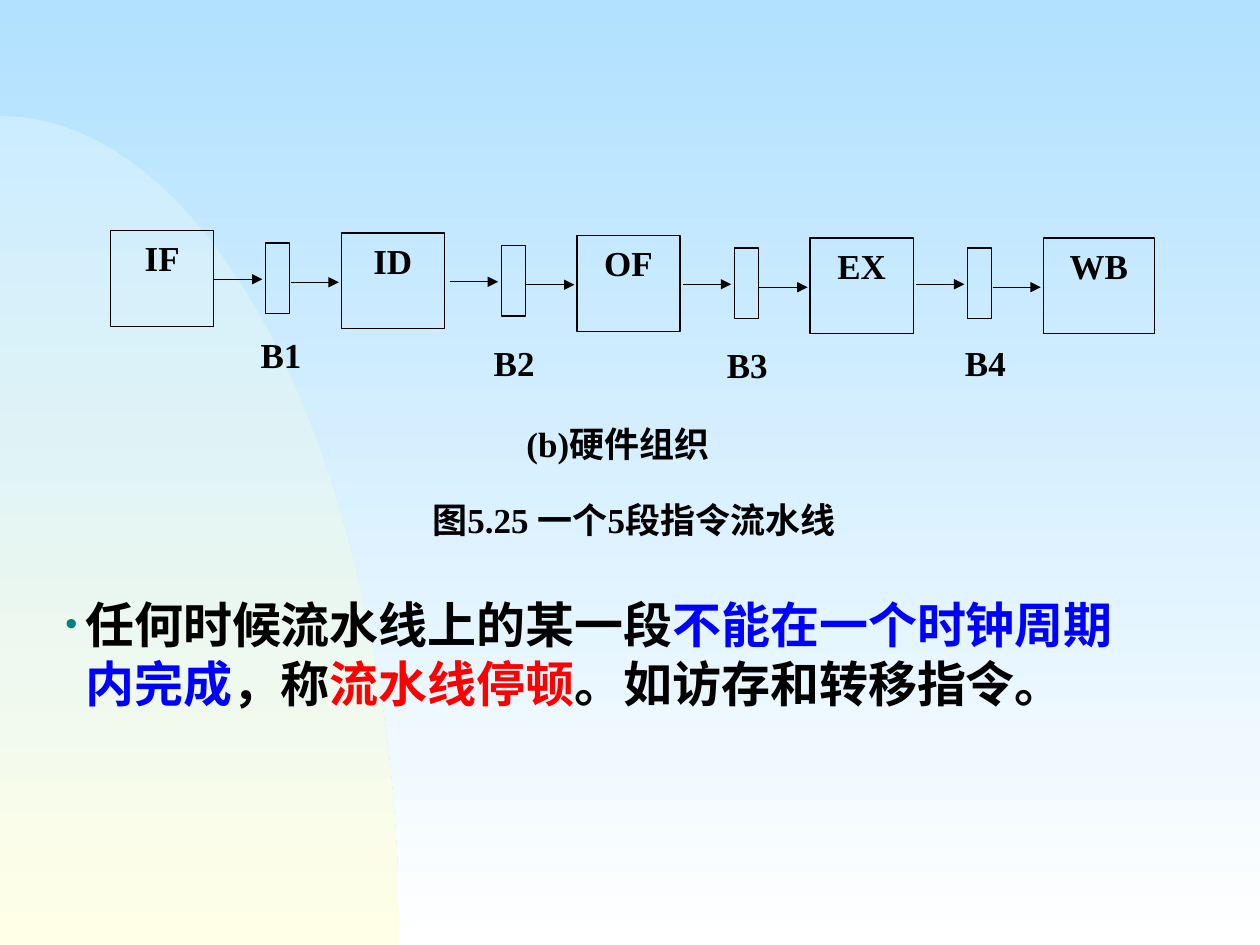
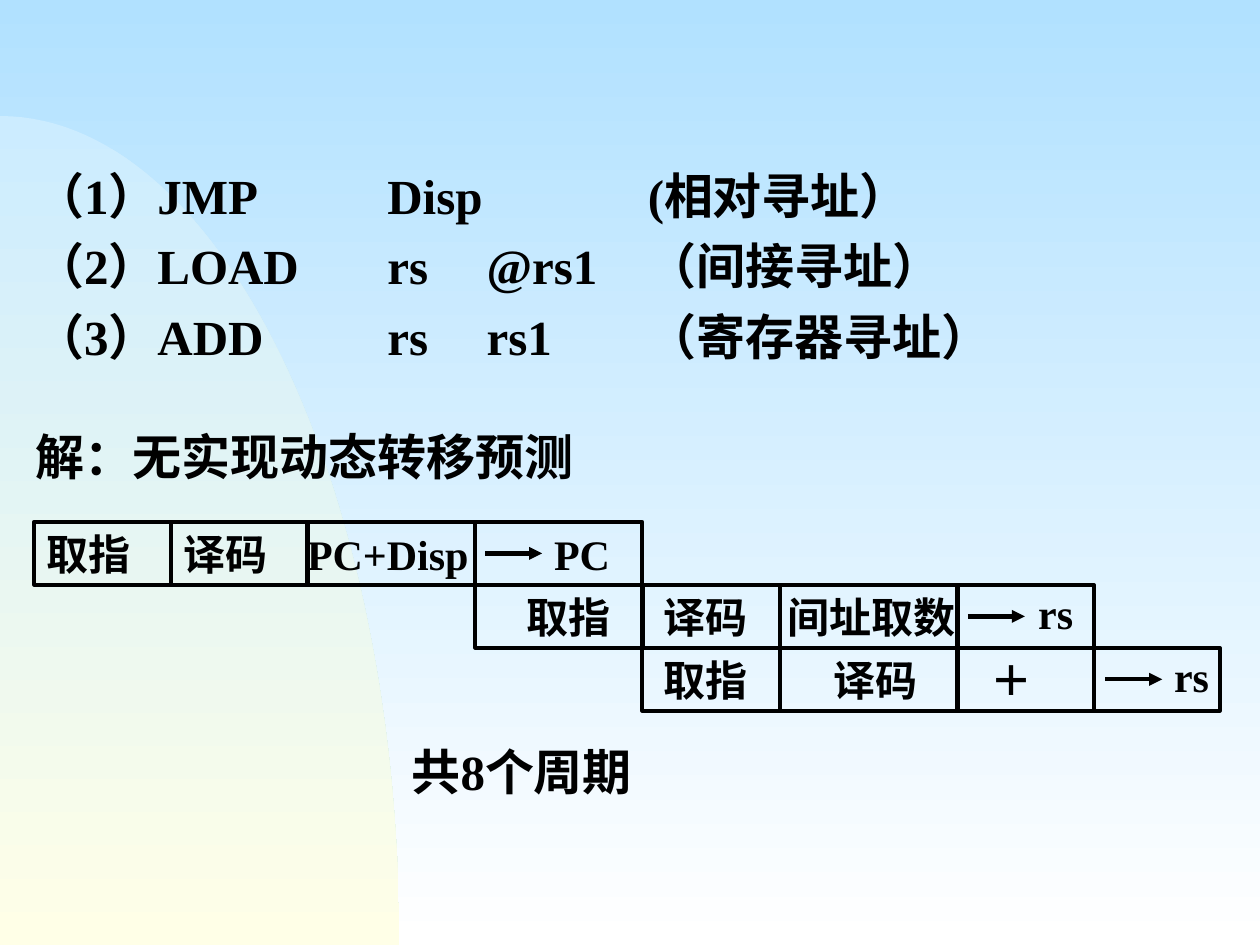
from lxml import etree
from pptx import Presentation
from pptx.dml.color import RGBColor
from pptx.enum.lang import MSO_LANGUAGE_ID
from pptx.enum.shapes import MSO_CONNECTOR, MSO_SHAPE
from pptx.enum.text import MSO_ANCHOR, PP_ALIGN
from pptx.oxml.ns import qn
from pptx.util import Cm, Pt

RECTANGLE = MSO_SHAPE.RECTANGLE
STRAIGHT = MSO_CONNECTOR.STRAIGHT
CHINESE = MSO_LANGUAGE_ID.SIMPLIFIED_CHINESE
TOP = MSO_ANCHOR.TOP
LEFT = PP_ALIGN.LEFT
CENTER = PP_ALIGN.CENTER

BLACK = RGBColor(0, 0, 0)
BLUE = RGBColor(0, 0, 255)
RED = RGBColor(255, 0, 0)
SKY = RGBColor(0xB1, 0xE1, 0xFF)
WHITE = RGBColor(255, 255, 255)
PALE_BLUE = RGBColor(0xCC, 0xEC, 0xFF)
PALE_YELLOW = RGBColor(0xFF, 0xFF, 0xE7)
TEAL = RGBColor(0, 0x80, 0x80)
FONT = "Times New Roman"


def add_text(slide, text, left, top, width, height, size=20, align=LEFT,
             colours=(BLACK,), spacing=None, tabs=(), outline=None):
    area = Cm(left), Cm(top), Cm(width), Cm(height)
    if outline:
        shape = slide.shapes.add_shape(RECTANGLE, *area)
        shape.shadow.inherit = False
        shape.fill.background()
        shape.line.color.rgb = BLACK
        shape.line.width = Pt(outline)
    else:
        shape = slide.shapes.add_textbox(*area)
    frame = shape.text_frame
    frame.word_wrap = True
    frame.vertical_anchor = TOP
    for index, line in enumerate(text.split("\n")):
        paragraph = frame.add_paragraph() if index else frame.paragraphs[0]
        paragraph.alignment = align
        if spacing:
            paragraph.line_spacing = spacing
        if tabs:
            tab_list = etree.SubElement(paragraph._p.get_or_add_pPr(), qn("a:tabLst"))
            for position in tabs:
                etree.SubElement(tab_list, qn("a:tab"), pos=str(Cm(position)), algn="l")
        for segment, colour in zip(line.split("|"), colours):
            run = paragraph.add_run()
            run.text = segment
            run.font.name = FONT
            run.font.size = Pt(size)
            run.font.bold = True
            run.font.color.rgb = colour
            run.font.language_id = CHINESE
    return shape


def add_line(slide, start, end, width, arrow=False):
    connector = slide.shapes.add_connector(
        STRAIGHT, Cm(start[0]), Cm(start[1]), Cm(end[0]), Cm(end[1]))
    connector.line.color.rgb = BLACK
    connector.line.width = Pt(width)
    if arrow:
        etree.SubElement(connector.line._get_or_add_ln(), qn("a:tailEnd"), type="triangle")
    etree.SubElement(connector._element.spPr, qn("a:effectLst"))


presentation = Presentation()
presentation.slide_width = Cm(25.4)
presentation.slide_height = Cm(19.05)
master = presentation.slide_master
blank = presentation.slide_layouts[6]
hardware = presentation.slides.add_slide(blank)
timing = presentation.slides.add_slide(blank)

curve = []
for step in range(61):
    t = step / 60
    x = 3 * (1 - t) ** 2 * t * 4.45 + (3 * (1 - t) * t ** 2 + t ** 3) * 8.05
    y = ((1 - t) ** 3 + 3 * (1 - t) ** 2 * t) * 2.34 + 3 * (1 - t) * t ** 2 * 9.83 + t ** 3 * 19.05
    curve.append((Cm(x), Cm(y)))
builder = hardware.shapes.build_freeform(*curve[0])
builder.add_line_segments(curve[1:] + [(0, Cm(19.05))], close=True)
hill = builder.convert_to_shape()
hill.shadow.inherit = False
hill.line.fill.background()
for fill, colours in ((master.background.fill, (SKY, WHITE)),
                      (hill.fill, (PALE_BLUE, PALE_YELLOW))):
    fill.gradient()
    fill.gradient_angle = 270
    for stop, colour in zip(fill.gradient_stops, colours):
        stop.color.rgb = colour
master.shapes.element.append(hill.element)

stages = (("IF", 2.23, 2.08), ("ID", 6.88, 2.08), ("OF", 11.63, 2.08),
          ("EX", 16.33, 2.08), ("WB", 21.03, 2.24))
for index, (name, left, width) in enumerate(stages):
    add_text(hardware, name, left, 4.65 + 0.05 * min(index, 3), width, 1.93,
             align=CENTER, outline=0.75)

buffers = (("B1", 5.36, 4.75, 6.6), ("B2", 10.11, 9.45, 6.76),
           ("B3", 14.81, 14.15, 6.81), ("B4", 19.51, 18.95, 6.76))
for index, (name, left, label_left, label_top) in enumerate(buffers):
    top = 4.9 + 0.05 * min(index, 2)
    add_text(hardware, "", left, top, 0.48, 1.42, outline=0.75)
    for offset, drop in ((-1.04, 0.73), (0.5, 0.79)):
        start = left + offset
        add_line(hardware, (start, top + drop), (start + 0.97, top + drop), 0.75, arrow=True)
    add_text(hardware, name, label_left, label_top, 1.83, 1.02, align=CENTER)

add_text(hardware, "(b)硬件组织", 9.55, 8.4, 5.82, 1.22, align=CENTER)
add_text(hardware, "图5.25 一个5段指令流水线", 7.98, 9.93, 9.6, 1.27, align=CENTER)

stall = add_text(
    hardware,
    "任何时候流水线上的某一段|不能在一个时钟周期内完成|，称|流水线停顿|。如访存和转移指令。",
    0.97, 11.86, 22.2, 2.64, size=28, colours=(BLACK, BLUE, BLACK, RED, BLACK))
properties = stall.text_frame.paragraphs[0]._p.get_or_add_pPr()
properties.set("marL", str(Cm(0.5)))
properties.set("indent", str(-Cm(0.4)))
bullet_colour = etree.SubElement(properties, qn("a:buClr"))
etree.SubElement(bullet_colour, qn("a:srgbClr"), val=str(TEAL))
etree.SubElement(properties, qn("a:buSzPct"), val="70000")
etree.SubElement(properties, qn("a:buFont"), typeface="Arial")
etree.SubElement(properties, qn("a:buChar"), char="•")

ROW_TOP, ROW_HEIGHT = 10.52, 1.27
rows = (
    (0.69, 12.95, (3.45, 6.2, 9.58), 9.78,
     (("取指", 0.69, 2.59), ("译码", 3.45, 2.59), ("PC+Disp", 5.94, 3.85), ("PC", 10.92, 1.75))),
    (9.58, 22.05, (12.95, 15.72, 19.3), 19.51,
     (("取指", 10.36, 2.59), ("译码", 13.13, 2.59), ("间址取数", 15.62, 4), ("rs", 20.68, 1.6))),
    (12.95, 24.59, (15.72, 19.3, 22.06), 22.28,
     (("取指", 13.13, 2.59), ("译码", 16.56, 2.59), ("＋", 19.71, 1.5), ("rs", 23.42, 1.6))),
)
for index, (left, right, dividers, arrow_left, steps) in enumerate(rows):
    top = ROW_TOP + index * ROW_HEIGHT
    add_text(timing, "", left, top, right - left, ROW_HEIGHT, outline=2.25)
    for divider in dividers:
        add_line(timing, (divider, top), (divider, top + ROW_HEIGHT), 2.5)
    middle = top + ROW_HEIGHT / 2
    add_line(timing, (arrow_left, middle), (arrow_left + 1.15, middle), 2.5, arrow=True)
    for name, step_left, width in steps:
        lift = 0.08 if name == "rs" else 0
        add_text(timing, name, step_left, top - lift, width, ROW_HEIGHT, size=24)

add_text(timing, "共8个周期", 8.05, 14.83, 6.4, 1.45, size=28)
add_text(timing, "解：无实现动态转移预测", 0.46, 8.48, 12.12, 1.45, size=28)
add_text(timing,
         "（1）JMP\tDisp\t\t(相对寻址）\n"
         "（2）LOAD\trs\t@rs1\t（间接寻址）\n"
         "（3）ADD\trs\trs1\t（寄存器寻址）",
         0.46, 2.97, 20.35, 4.52, size=28, spacing=1.2, tabs=(7.1, 9.1, 12.35))

presentation.save("out.pptx")
